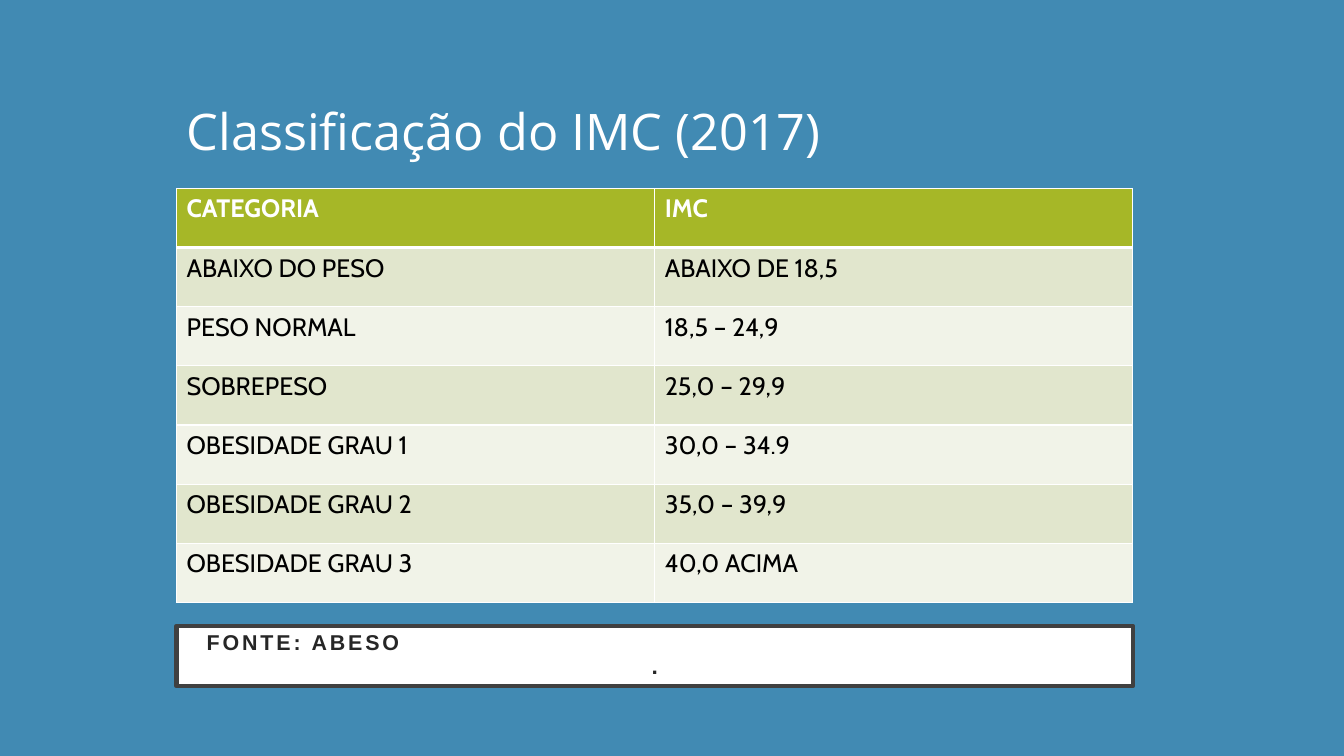
from lxml.etree import SubElement
from pptx import Presentation
from pptx.dml.color import RGBColor
from pptx.enum.shapes import MSO_SHAPE as Shape
from pptx.enum.text import MSO_ANCHOR as Anchor, MSO_AUTO_SIZE as AutoSize, PP_ALIGN as Align
from pptx.oxml.ns import qn
from pptx.util import Cm, Pt

COLORS = {
    "background": "418AB3", "white": "FFFFFF", "black": "000000",
    "header": "A6B727", "odd": "E1E6CD", "even": "F1F3E8",
    "frame": "404040", "source": "262626",
}
LEFT, WIDTH = Cm(4.45), Cm(24.1)
ROW_HEIGHT = Cm(1.49)
ROWS = [
    ("CATEGORIA", "IMC"),
    ("ABAIXO DO PESO", "ABAIXO DE 18,5"),
    ("PESO NORMAL", "18,5 – 24,9"),
    ("SOBREPESO", "25,0 – 29,9"),
    ("OBESIDADE GRAU 1", "30,0 – 34.9"),
    ("OBESIDADE GRAU 2", "35,0 – 39,9"),
    ("OBESIDADE GRAU 3", "40,0 ACIMA"),
]


def rgb(name):
    return RGBColor.from_string(COLORS[name])


def fill(item, color):
    item.fill.solid()
    item.fill.fore_color.rgb = rgb(color)


def format_run(r, font, size, color, bold=False):
    r.font.name = font
    r.font.size = Pt(size)
    r.font.bold = bold
    r.font.color.rgb = rgb(color)


def set_borders(cell, bottom=1, top=1):
    tc_pr = cell._tc.get_or_add_tcPr()
    widths = {"a:lnL": 1, "a:lnR": 1, "a:lnT": top, "a:lnB": bottom}
    for i, (tag, width) in enumerate(widths.items()):
        ln = SubElement(tc_pr, qn(tag), w=str(Pt(width)))
        SubElement(SubElement(ln, qn("a:solidFill")), qn("a:srgbClr"), val=COLORS["white"])
        tc_pr.insert(i, ln)


def add_title(s, text):
    title = s.shapes.title
    title.left, title.top, title.width, title.height = LEFT, Cm(2.39), Cm(21.95), Cm(2.36)
    tf = title.text_frame
    tf.text = text
    tf.word_wrap = True
    tf.auto_size = AutoSize.NONE
    tf.vertical_anchor = Anchor.TOP
    p = tf.paragraphs[0]
    p.alignment = Align.LEFT
    format_run(p.runs[0], "Open Sans", 36, "white")


def add_bmi_table(s):
    frame = s.shapes.add_table(len(ROWS), 2, LEFT, Cm(4.75), WIDTH, ROW_HEIGHT * len(ROWS))
    table = frame.table
    for i, row in enumerate(ROWS):
        table.rows[i].height = ROW_HEIGHT
        is_header = i == 0
        color = "header" if is_header else "odd" if i % 2 else "even"
        for j, text in enumerate(row):
            cell = table.cell(i, j)
            cell.text_frame.text = text
            format_run(cell.text_frame.paragraphs[0].runs[0], "Cabin", 18,
                       "white" if is_header else "black", is_header)
            fill(cell, color)
            set_borders(cell, bottom=3 if is_header else 1, top=3 if i == 1 else 1)


def add_source_box(s):
    box = s.shapes.add_shape(Shape.RECTANGLE, LEFT, Cm(15.77), WIDTH, Cm(1.52))
    box.shadow.inherit = False
    fill(box, "white")
    box.line.color.rgb = rgb("frame")
    box.line.width = Pt(3)
    tf = box.text_frame
    tf.word_wrap = True
    tf.vertical_anchor = Anchor.MIDDLE
    tf.margin_left = tf.margin_right = Cm(0.76)
    tf.margin_top = tf.margin_bottom = 0
    tf.text = "FONTE: ABESO\n."
    for p, align, size in zip(tf.paragraphs, (Align.LEFT, Align.CENTER), (15.3, 16.2)):
        p.alignment = align
        p.line_spacing = 0.9
        r = p.runs[0]
        format_run(r, "Arial", size, "source", True)
        r.font._element.set("spc", "200")  # letter spacing, 2 pt


def main():
    prs = Presentation()
    prs.slide_width, prs.slide_height = Cm(33.87), Cm(19.05)
    s = prs.slides.add_slide(prs.slide_layouts[5])
    fill(s.background, "background")

    # Heading, classification and its source
    add_title(s, "Classificação do IMC (2017)")
    add_bmi_table(s)
    add_source_box(s)
    prs.save("out.pptx")


if __name__ == "__main__":
    main()
